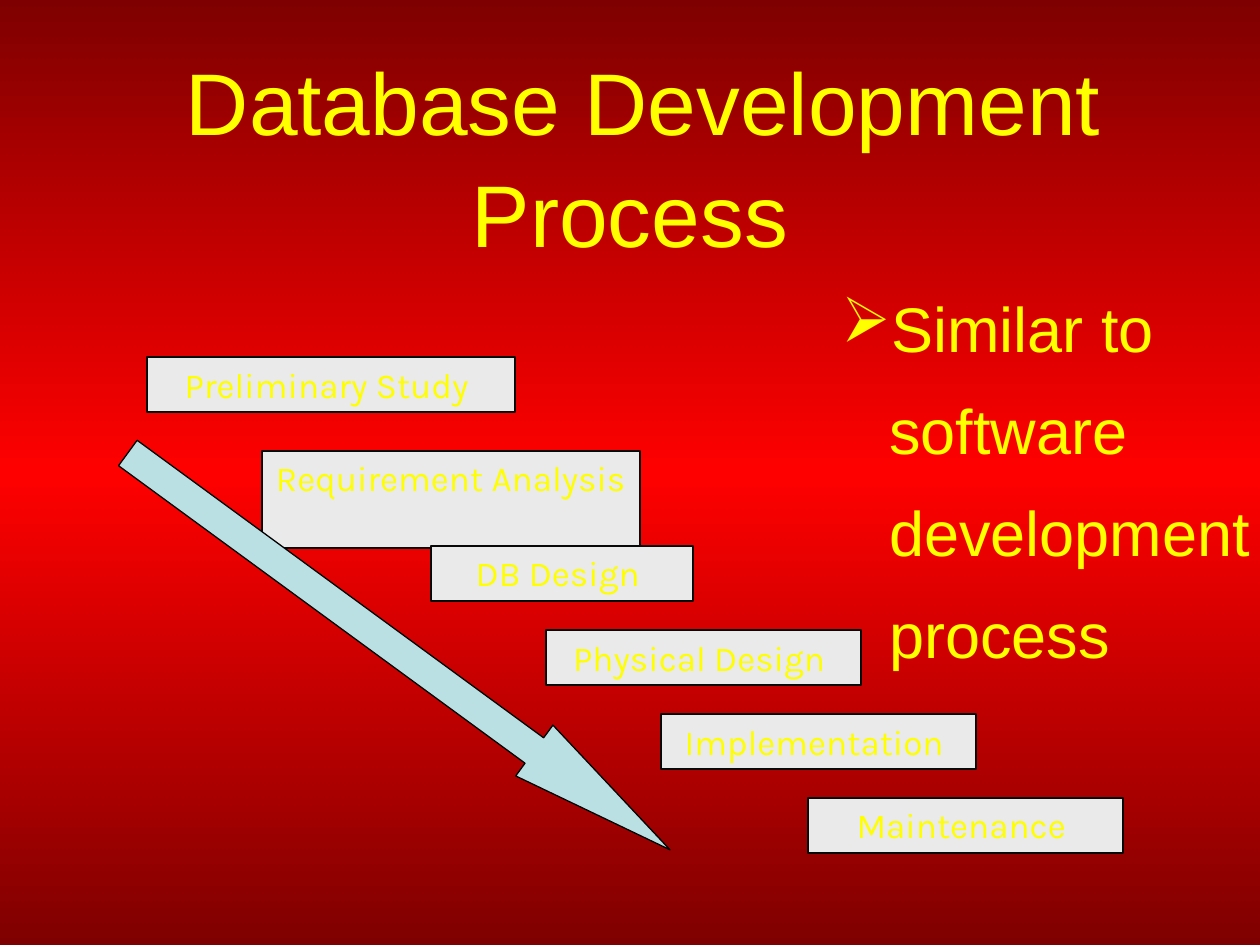
from copy import deepcopy

from lxml import etree
from pptx import Presentation
from pptx.dml.color import RGBColor
from pptx.enum.shapes import MSO_SHAPE
from pptx.enum.text import MSO_ANCHOR, PP_ALIGN
from pptx.oxml.ns import qn
from pptx.util import Pt

PX = 914400 // 126
RECT, ARROW = MSO_SHAPE.RECTANGLE, MSO_SHAPE.RIGHT_ARROW
TOP, CENTER, LEFT = MSO_ANCHOR.TOP, PP_ALIGN.CENTER, PP_ALIGN.LEFT

COLORS = {
    "edge": "7F0000",
    "glow": "FF0000",
    "text": "FFFF00",
    "step": "EAEAEA",
    "step_line": "080808",
    "arrow": "BBE0E3",
    "arrow_line": "000000",
}
TITLE = {"name": "Arial", "size": Pt(50)}
BODY = {"name": "Arial", "size": Pt(36)}
STEP = {"name": "Karla", "size": Pt(20)}

STEP_HEIGHT = 55
STEPS = [  # text, left, top, width, height
    ("Preliminary Study ", 147, 357, 368, STEP_HEIGHT),
    ("Requirement Analysis", 262, 451, 378, 97),
    ("DB Design ", 431, 546, 262, STEP_HEIGHT),
    ("Physical Design ", 546, 630, 315, STEP_HEIGHT),
    ("Implementation ", 661, 714, 315, STEP_HEIGHT),
    ("Maintenance ", 808, 798, 315, STEP_HEIGHT),
]


def emu(*lengths):
    return [length * PX for length in lengths]


def color(key):
    return RGBColor.from_string(COLORS[key])


def write(shape, text, font, align, top_inset=6):
    """Fill a shape with one wrapped paragraph and return that paragraph."""
    frame = shape.text_frame
    frame_format = {"word_wrap": True, "vertical_anchor": TOP,
                    "margin_top": top_inset * PX}
    for key, value in frame_format.items():
        setattr(frame, key, value)
    paragraph = frame.paragraphs[0]
    paragraph.alignment = align
    run = paragraph.add_run()
    run.text = text
    for key, value in font.items():
        setattr(run.font, key, value)
    run.font.color.rgb = color("text")
    return paragraph


def add_outlined(slide, preset, box, fill, line):
    shape = slide.shapes.add_shape(preset, *emu(*box))
    shape.shadow.inherit = False
    shape.fill.solid()
    shape.fill.fore_color.rgb = color(fill)
    shape.line.color.rgb = color(line)
    shape.line.width = Pt(0.75)
    return shape


def paint_background(slide):
    """Vertical gradient, dark at both ends and bright in the middle."""
    fill = slide.background.fill
    fill.gradient()
    fill.gradient_angle = 270
    stops = fill.gradient_stops
    first = stops[0]._gs
    first.getparent().append(deepcopy(first))
    bands = [(0, "edge"), (0.5, "glow"), (1, "edge")]
    for stop, (position, key) in zip(fill.gradient_stops, bands):
        stop.position = position
        stop.color.rgb = color(key)


def add_title(slide, box):
    title = slide.shapes.add_textbox(*emu(*box))
    paragraph = write(title, "Database Development Process", TITLE, CENTER, 32)
    paragraph.line_spacing = 1.06
    paragraph._p.get_or_add_pPr().set("indent", str(27 * PX))


def add_remark(slide, box):
    remark = slide.shapes.add_textbox(*emu(*box))
    paragraph = write(remark, "Similar to software development process",
                      BODY, LEFT, 11)
    paragraph.line_spacing = 1.35
    properties = paragraph._p.get_or_add_pPr()
    properties.set("marL", str(48 * PX))
    properties.set("indent", str(-48 * PX))
    bullet_color = etree.SubElement(properties, qn("a:buClr"))
    etree.SubElement(bullet_color, qn("a:srgbClr")).set("val", COLORS["text"])
    etree.SubElement(properties, qn("a:buChar")).set("char", "➢")


def add_steps(slide):
    for text, *box in STEPS:
        step = add_outlined(slide, RECT, box, "step", "step_line")
        write(step, text, STEP, CENTER)


def add_direction(slide, box):
    direction = add_outlined(slide, ARROW, box, "arrow", "arrow_line")
    direction.rotation = 36.2
    direction.adjustments[0] = 0.5
    direction.adjustments[1] = 2.67


def main():
    deck = Presentation()
    deck.slide_width, deck.slide_height = emu(1260, 945)
    slide = deck.slides.add_slide(deck.slide_layouts[6])
    paint_background(slide)
    add_title(slide, (0, 10, 1260, 158))
    add_remark(slide, (829, 252, 483, 714))
    add_steps(slide)
    add_direction(slide, (63, 620, 672, 63))
    deck.save("out.pptx")


if __name__ == "__main__":
    main()
